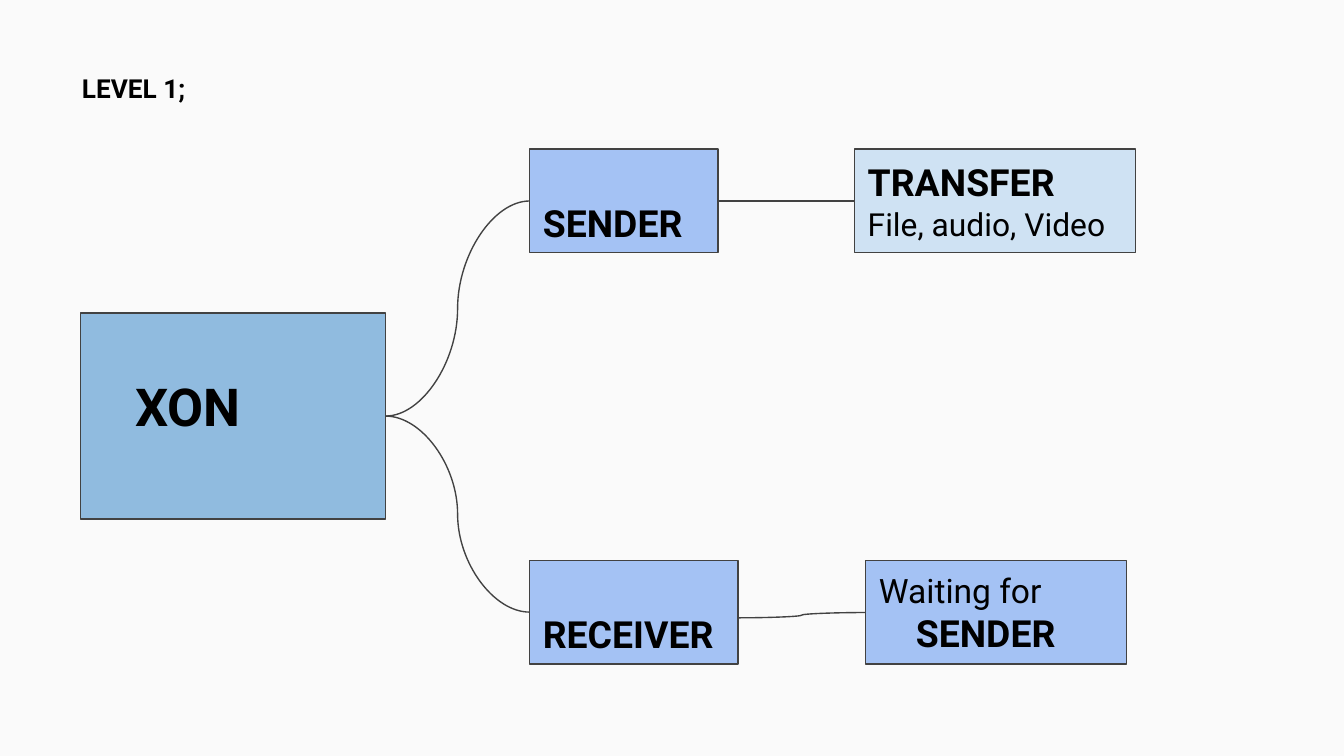
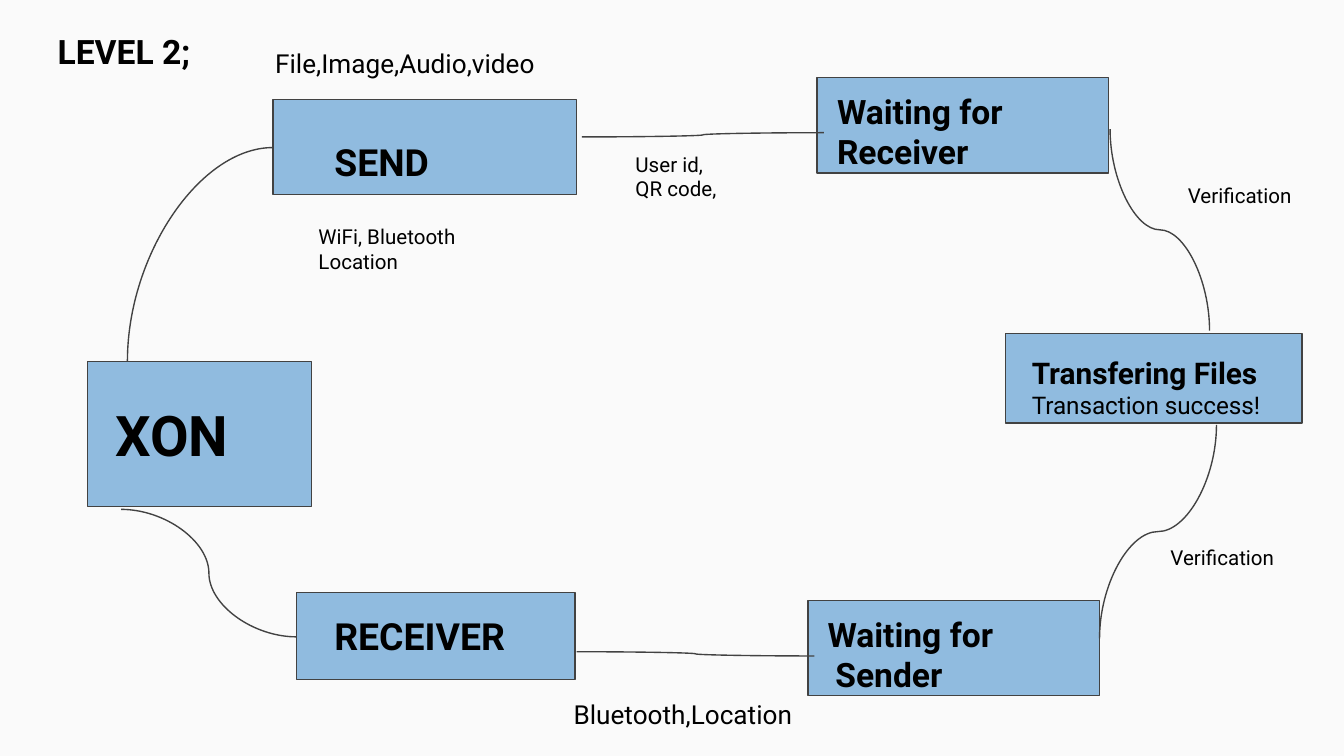
from lxml.etree import SubElement
from pptx import Presentation
from pptx.dml.color import RGBColor
from pptx.enum.shapes import MSO_CONNECTOR, MSO_SHAPE
from pptx.enum.text import MSO_ANCHOR as ANCHOR, MSO_AUTO_SIZE as AUTO, PP_ALIGN
from pptx.oxml.ns import qn
from pptx.util import Cm, Pt

PAPER = RGBColor(0xFA, 0xFA, 0xFA)
INK = RGBColor(0, 0, 0)
LINE = RGBColor(0x42, 0x42, 0x42)
STEEL = RGBColor(0x32, 0x84, 0xC8)
PERIWINKLE = RGBColor(0xA4, 0xC2, 0xF4)
PALE = RGBColor(0xCF, 0xE2, 0xF3)
FONT = "Roboto"
LINE_WIDTH = Pt(0.75)
INSET = 0.25
LOW_INSET = 0.15
STEEL_ALPHA = 53000
TOP, LEFT, BOTTOM, RIGHT = range(4)

# Paragraphs are (text, size, bold, indent); boxes and labels are (left, top, width, height).
LEVEL_1 = {
    "boxes": {
        "xon": ((1.52, 5.92, 5.77, 3.89), STEEL, [], ANCHOR.MIDDLE),
        "sender": ((10.01, 2.82, 3.56, 1.96), PERIWINKLE,
                   [("SENDER", 20, True, 0)], ANCHOR.BOTTOM),
        "receiver": ((10.01, 10.59, 3.94, 1.96), PERIWINKLE,
                     [("RECEIVER", 20, True, 0)], ANCHOR.BOTTOM),
        "transfer": ((16.15, 2.82, 5.31, 1.96), PALE,
                     [("TRANSFER", 20, True, 0),
                      ("File, audio, Video", 17, False, 0)], ANCHOR.MIDDLE),
        "waiting": ((16.36, 10.59, 4.93, 1.96), PERIWINKLE,
                    [("Waiting for", 18, False, 0),
                     ("SENDER", 20, True, 0.7)], ANCHOR.MIDDLE),
    },
    "labels": [
        ((1.3, 1.12, 5.56, 1.12), [("LEVEL 1;", 14, True, 0)]),
        ((2.31, 6.83, 3.12, 1.7), [("XON", 28, True, 0)]),
    ],
    "joins": [("xon", "sender"), ("xon", "receiver"), ("sender", "transfer")],
    "curves": [("across", (13.94, 11.68), (16.36, 11.58))],
}

LEVEL_2 = {
    "boxes": {
        "xon": ((1.65, 6.83, 4.24, 2.74), STEEL, [], ANCHOR.MIDDLE),
        "send": ((5.16, 1.88, 5.74, 1.8), STEEL, [], ANCHOR.MIDDLE),
        "receiver": ((5.61, 11.2, 5.26, 1.65), STEEL, [], ANCHOR.MIDDLE),
        "wait receiver": ((15.44, 1.47, 5.51, 1.8), STEEL, [], ANCHOR.MIDDLE),
        "wait sender": ((15.27, 11.35, 5.51, 1.8), STEEL, [], ANCHOR.MIDDLE),
        "transfer": ((19, 6.3, 5.61, 1.7), STEEL, [], ANCHOR.MIDDLE),
    },
    "labels": [
        ((0.84, 0.33, 3.38, 1.27), [("LEVEL 2;", 18, True, 0)]),
        ((1.93, 7.32, 3.68, 1.8), [("XON", 30, True, 0)]),
        ((6.07, 2.39, 4.8, 1.37), [("SEND", 20, True, 0)]),
        ((6.07, 11.35, 11.46, 1.37), [("RECEIVER", 20, True, 0)]),
        ((4.95, 0.64, 6.25, 1.12), [("File,Image,Audio,video", 14, False, 0)]),
        ((5.77, 3.99, 3.38, 1.45), [("WiFi, Bluetooth", 11, False, 0),
                                    ("Location", 11, False, 0)]),
        ((15.57, 1.47, 5.97, 2.06), [("Waiting for Receiver", 18, True, 0)]),
        ((10.59, 12.95, 6.93, 1.12), [("Bluetooth,Location", 14, False, 0)]),
        ((11.76, 2.62, 3.68, 1.93), [("User id,", 11, False, 0),
                                     ("QR code,", 11, False, 0)]),
        ((15.39, 11.35, 5.97, 2.06), [("Waiting for", 18, True, 0),
                                      ("Sender", 18, True, 0.15)]),
        ((19.25, 6.45, 4.85, 1.75), [("Transfering Files", 16, True, 0),
                                     ("Transaction success!", 13, False, 0)]),
        ((22.2, 3.23, 2.74, 0.99), [("Verification", 11, False, 0)]),
        ((21.87, 10.06, 2.74, 0.99), [("Verification", 11, False, 0)]),
    ],
    "joins": [],
    "curves": [
        ("corner", (5.16, 2.79), (2.41, 6.83)),
        ("across", (5.61, 12.04), (2.29, 9.63)),
        ("across", (11, 2.59), (15.57, 2.51)),
        ("across", (10.9, 12.32), (15.39, 12.4)),
        ("down", (20.98, 2.44), (22.86, 6.25)),
        ("down", (22.99, 8.03), (20.78, 12.07)),
    ],
}


def write(sp, paragraphs, anchor):
    tf = sp.text_frame
    tf.word_wrap = True
    tf.vertical_anchor = anchor
    tf.margin_left = tf.margin_right = tf.margin_top = Cm(INSET)
    tf.margin_bottom = Cm(LOW_INSET if anchor == ANCHOR.BOTTOM else INSET)
    for i, (text, size, bold, indent) in enumerate(paragraphs):
        p = tf.add_paragraph() if i else tf.paragraphs[0]
        p.text = text
        p.alignment = PP_ALIGN.LEFT
        if indent:
            p._p.get_or_add_pPr().set("marL", str(Cm(indent)))
        font = p.runs[0].font
        font.name, font.size, font.bold = FONT, Pt(size), bold
        font.color.rgb = INK


def add_box(slide, place, color, paragraphs, anchor):
    sp = slide.shapes.add_shape(MSO_SHAPE.RECTANGLE, *map(Cm, place))
    sp.shadow.inherit = False
    sp.fill.solid()
    sp.fill.fore_color.rgb = color
    if color == STEEL:
        rgb = sp._element.spPr.find(qn("a:solidFill"))[0]
        SubElement(rgb, qn("a:alpha"), val=str(STEEL_ALPHA))
    sp.line.color.rgb = LINE
    sp.line.width = LINE_WIDTH
    if paragraphs:
        write(sp, paragraphs, anchor)
    return sp


def add_label(slide, place, paragraphs):
    sp = slide.shapes.add_textbox(*map(Cm, place))
    write(sp, paragraphs, ANCHOR.TOP)
    sp.text_frame.auto_size = AUTO.SHAPE_TO_FIT_TEXT


def add_curve(slide, start=(0, 0), end=(0, 0), route="across"):
    (x1, y1), (x2, y2) = start, end
    if route == "down":
        # A quarter turn swaps the sides of the frame around its centre.
        cx, cy = (x1 + x2) / 2, (y1 + y2) / 2
        dx, dy = abs(x2 - x1) / 2, abs(y2 - y1) / 2
        rise = dx if x2 > x1 else -dx
        ends = cx - dy, cy + rise, cx + dy, cy - rise
    else:
        ends = x1, y1, x2, y2
    line = slide.shapes.add_connector(MSO_CONNECTOR.CURVE, *map(Cm, ends))
    line.line.color.rgb = LINE
    line.line.width = LINE_WIDTH
    spPr = line._element.spPr
    SubElement(spPr, qn("a:effectLst"))
    if route == "down":
        spPr.find(qn("a:xfrm")).set("rot", str(90 * 60000))
    elif route == "corner":
        spPr.find(qn("a:prstGeom")).set("prst", "curvedConnector2")
    return line


def add_level(prs, level):
    slide = prs.slides.add_slide(prs.slide_layouts[6])
    slide.background.fill.solid()
    slide.background.fill.fore_color.rgb = PAPER
    boxes = {name: add_box(slide, *box) for name, box in level["boxes"].items()}
    for place, paragraphs in level["labels"]:
        add_label(slide, place, paragraphs)
    for source, target in level["joins"]:
        line = add_curve(slide)
        line.begin_connect(boxes[source], RIGHT)
        line.end_connect(boxes[target], LEFT)
    for route, start, end in level["curves"]:
        add_curve(slide, start, end, route)


def main():
    prs = Presentation()
    prs.slide_width, prs.slide_height = Cm(25.4), Cm(14.29)
    for level in (LEVEL_1, LEVEL_2):
        add_level(prs, level)
    prs.save("out.pptx")


if __name__ == "__main__":
    main()
